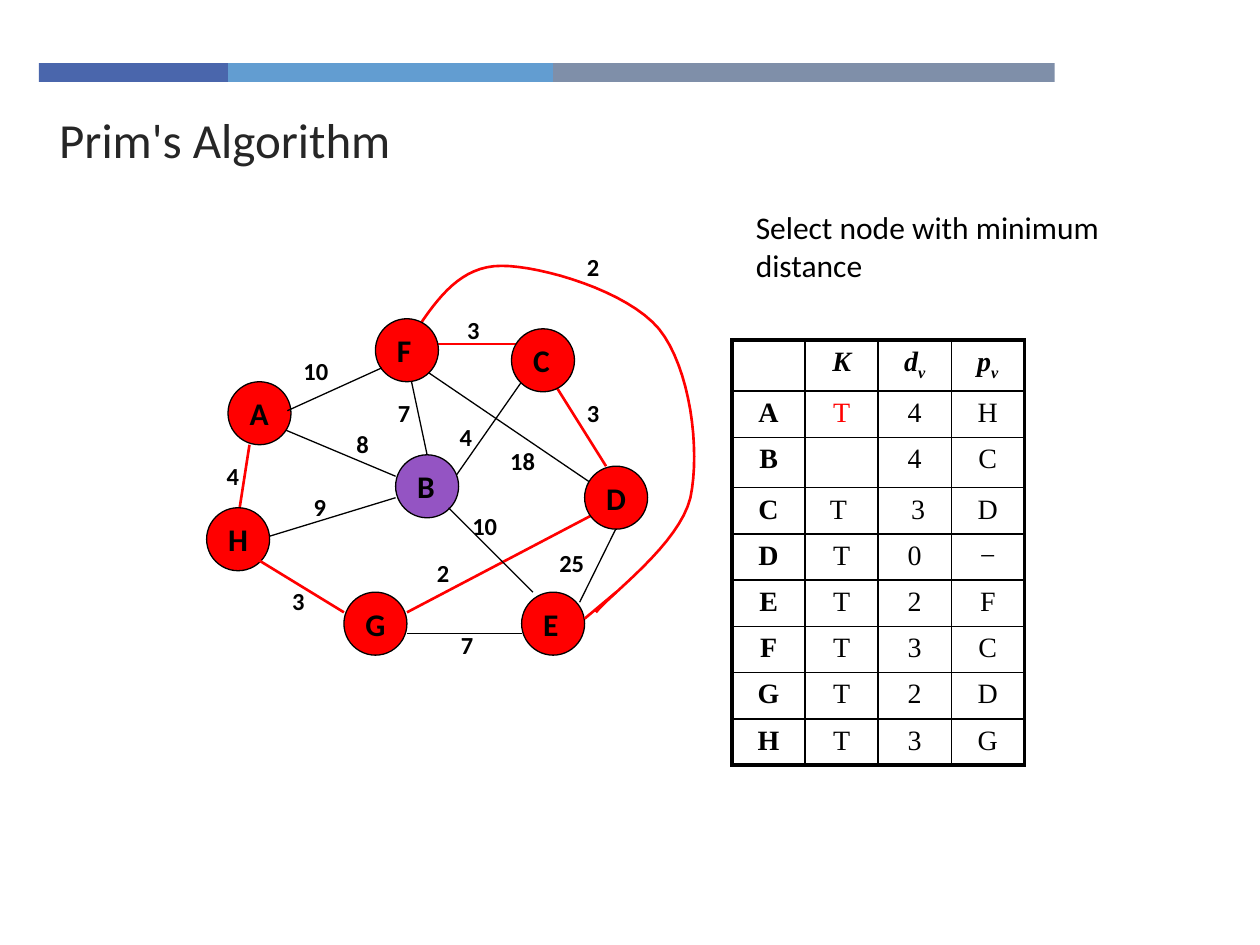
"""Build the Prim's Algorithm slide with its weighted graph and state table."""
from dataclasses import dataclass

from lxml import etree
from pptx import Presentation
from pptx.dml.color import RGBColor
from pptx.enum import shapes, text
from pptx.oxml import ns
from pptx.util import Inches, Pt

BLACK = RGBColor(0x00, 0x00, 0x00)
RED = RGBColor(0xFF, 0x00, 0x00)
PURPLE = RGBColor(0x94, 0x54, 0xC3)
TITLE_GREY = RGBColor(0x26, 0x26, 0x26)
BAR_BLUE = RGBColor(0x4A, 0x66, 0xAC)
BAR_SKY = RGBColor(0x62, 0x9D, 0xD1)
BAR_SLATE = RGBColor(0x7F, 0x8F, 0xA9)
SANS = "Calibri"
SERIF = "Times New Roman"
NODE_SIZE = 0.5
COLUMN_WIDTH = 0.58
CURVE_STEPS = 16


@dataclass
class Bar:
    left: float
    width: float
    color: RGBColor


@dataclass
class Node:
    name: str
    left: float
    top: float
    color: RGBColor = RED


@dataclass
class Edge:
    start: tuple[float, float]
    end: tuple[float, float]
    in_tree: bool = False


@dataclass
class Weight:
    value: str
    left: float
    top: float


BARS = [Bar(0.31, 1.5, BAR_BLUE), Bar(1.81, 2.58, BAR_SKY), Bar(4.39, 3.98, BAR_SLATE)]
NODES = [
    Node("A", 1.81, 3.03), Node("H", 1.64, 4.03), Node("B", 3.14, 3.61, PURPLE),
    Node("F", 2.98, 2.53), Node("E", 4.14, 4.7), Node("D", 4.64, 3.7),
    Node("C", 4.06, 2.61), Node("G", 2.73, 4.7),
]
EDGES_BEHIND = [
    Edge((5.01, 3.95), (4.6, 4.78)),
    Edge((3.23, 2.86), (3.39, 3.61)),
    Edge((3.56, 3.86), (4.14, 3.03)),
    Edge((4.73, 3.86), (3.39, 2.95)),
    Edge((2.06, 4.28), (3.14, 3.95)),
    Edge((3.23, 4.86), (4.81, 4.03), True),
    Edge((1.89, 4.11), (1.98, 3.53), True),
    Edge((2.14, 3.36), (3.14, 3.78)),
    Edge((3.44, 2.73), (4.23, 2.73), True),
    Edge((4.39, 3.03), (4.81, 3.7), True),
]
EDGES_IN_FRONT = [
    Edge((3.56, 4.03), (4.23, 4.7)),
    Edge((4.14, 5.03), (3.23, 5.03)),
    Edge((2.73, 4.86), (2.06, 4.45), True),
    Edge((2.28, 3.26), (3.03, 2.92)),
    Edge((4.89, 4.7), (4.64, 4.91), True),
]
WEIGHTS = [
    Weight("4", 1.7, 3.61), Weight("25", 4.34, 4.3), Weight("7", 3.56, 4.95),
    Weight("2", 3.37, 4.38), Weight("10", 3.65, 4.01), Weight("18", 3.95, 3.49),
    Weight("3", 4.56, 3.11), Weight("4", 3.55, 3.3), Weight("3", 3.61, 2.45),
    Weight("7", 3.06, 3.11), Weight("8", 2.73, 3.36), Weight("9", 2.39, 3.86),
    Weight("3", 2.22, 4.6), Weight("10", 2.31, 2.78), Weight("2", 4.56, 1.95),
]
F_TO_E_CURVE = [
    (3.31, 2.61), (3.48, 2.36), (3.66, 2.11), (3.98, 2.11), (4.3, 2.11),
    (4.98, 2.31), (5.23, 2.61), (5.48, 2.92), (5.56, 3.57), (5.48, 3.95),
    (5.39, 4.32), (4.85, 4.71), (4.73, 4.86),
]
HEADER = ["", "K", "dv", "pv"]
STATES = [
    ["A", "T", "4", "H"], ["B", "", "4", "C"], ["C", "T ", " 3", "D"],
    ["D", "T", "0", "−"], ["E", "T", "2", "F"], ["F", "T", "3", "C"],
    ["G", "T", "2", "D"], ["H", "T", "3", "G"],
]


def style_font(font, size: float, name: str = SANS, color: RGBColor = BLACK,
               bold: bool = False, italic: bool = False) -> None:
    font.size, font.name, font.bold, font.italic = Pt(size), name, bold, italic
    font.color.rgb = color


def draw_bar(slide, bar: Bar) -> None:
    strip = slide.shapes.add_shape(shapes.MSO_SHAPE.RECTANGLE, Inches(bar.left), Inches(0.5),
                                   Inches(bar.width), Inches(0.15))
    strip.shadow.inherit = False
    strip.fill.solid()
    strip.fill.fore_color.rgb = bar.color
    strip.line.fill.background()


def draw_node(slide, node: Node) -> None:
    circle = slide.shapes.add_shape(shapes.MSO_SHAPE.OVAL, Inches(node.left), Inches(node.top),
                                    Inches(NODE_SIZE), Inches(NODE_SIZE))
    circle.shadow.inherit = False
    circle.fill.solid()
    circle.fill.fore_color.rgb = node.color
    circle.line.color.rgb, circle.line.width = BLACK, Pt(0.75)
    frame = circle.text_frame
    frame.text, frame.word_wrap = node.name, False
    frame.vertical_anchor = text.MSO_ANCHOR.MIDDLE
    style_font(frame.paragraphs[0].runs[0].font, 18, bold=True)


def draw_edge(slide, edge: Edge) -> None:
    ends = [Inches(value) for value in (*edge.start, *edge.end)]
    link = slide.shapes.add_connector(shapes.MSO_CONNECTOR.STRAIGHT, *ends)
    link.line.color.rgb = RED if edge.in_tree else BLACK
    link.line.width = Pt(1.5 if edge.in_tree else 0.75)
    etree.SubElement(link._element.spPr, ns.qn("a:effectLst"))


def draw_text(slide, words: str, left: float, top: float, width: float, height: float,
              size: float, bold: bool = False) -> None:
    box = slide.shapes.add_textbox(Inches(left), Inches(top), Inches(width), Inches(height))
    box.text_frame.text, box.text_frame.word_wrap = words, True
    style_font(box.text_frame.paragraphs[0].runs[0].font, size, bold=bold)


def draw_curve(slide, controls: list[tuple[float, float]]) -> None:
    points = []
    for first in range(0, len(controls) - 1, 3):
        segment = controls[first:first + 4]
        for step in range(1, CURVE_STEPS + 1):
            t = step / CURVE_STEPS
            blend = ((1 - t) ** 3, 3 * t * (1 - t) ** 2, 3 * t * t * (1 - t), t ** 3)
            points.append(tuple(Inches(sum(b * p[axis] for b, p in zip(blend, segment)))
                                for axis in (0, 1)))
    builder = slide.shapes.build_freeform(Inches(controls[0][0]), Inches(controls[0][1]))
    builder.add_line_segments(points, close=False)
    arc = builder.convert_to_shape()
    arc.shadow.inherit = False
    arc.fill.background()
    arc.line.color.rgb, arc.line.width = RED, Pt(1.5)


def set_borders(cell, outer_sides: dict[str, bool]) -> None:
    properties = cell._tc.get_or_add_tcPr()
    for position, (side, outer) in enumerate(outer_sides.items()):
        border = etree.Element(ns.qn(f"a:ln{side}"), w=str(Pt(2.25 if outer else 1)))
        fill = etree.SubElement(border, ns.qn("a:solidFill"))
        etree.SubElement(fill, ns.qn("a:srgbClr"), val=str(BLACK))
        properties.insert(position, border)


def draw_state_table(slide) -> None:
    rows = [HEADER, *STATES]
    table = slide.shapes.add_table(len(rows), len(HEADER), Inches(5.81), Inches(2.7),
                                   Inches(COLUMN_WIDTH * len(HEADER)), Inches(3.32)).table
    table.first_row = table.horz_banding = False
    for column in table.columns:
        column.width = Inches(COLUMN_WIDTH)
    for r, values in enumerate(rows):
        table.rows[r].height = Inches({0: 0.4, 2: 0.38}.get(r, 0.365))
        for c, value in enumerate(values):
            cell = table.cell(r, c)
            cell.fill.background()
            set_borders(cell, {"L": c == 0, "R": c == len(HEADER) - 1,
                               "T": r == 0, "B": r == len(rows) - 1})
            paragraph = cell.text_frame.paragraphs[0]
            paragraph.alignment = text.PP_ALIGN.CENTER
            for part in (value if r == 0 and value else [value]):
                run = paragraph.add_run()
                run.text = part
                color = RED if (r, c) == (1, 1) else BLACK
                style_font(run.font, 16, SERIF, color, bold=r == 0 or c == 0, italic=r == 0)
                if part == "v":
                    run.font._element.set("baseline", "-25000")


def draw_title(slide, words: str) -> None:
    title = slide.shapes.title
    title.left, title.top, title.width, title.height = (
        Inches(value) for value in (0.37, 0.8, 7.16, 0.54))
    frame = title.text_frame
    frame.text, frame.margin_bottom = words, 0
    frame.vertical_anchor = text.MSO_ANCHOR.BOTTOM
    frame.paragraphs[0].alignment = text.PP_ALIGN.LEFT
    style_font(frame.paragraphs[0].runs[0].font, 28, color=TITLE_GREY)


def main() -> None:
    deck = Presentation()
    deck.slide_width, deck.slide_height = Inches(10), Inches(7.5)
    slide = deck.slides.add_slide(deck.slide_layouts[5])
    draw_title(slide, "Prim's Algorithm")
    for bar in BARS:
        draw_bar(slide, bar)
    draw_curve(slide, F_TO_E_CURVE)
    for edge in EDGES_BEHIND:
        draw_edge(slide, edge)
    for node in NODES:
        draw_node(slide, node)
    for edge in EDGES_IN_FRONT:
        draw_edge(slide, edge)
    for weight in WEIGHTS:
        width = 0.33 if len(weight.value) == 1 else 0.52
        draw_text(slide, weight.value, weight.left, weight.top, width, 0.33, 14, bold=True)
    draw_text(slide, "Select node with minimum distance", 5.9, 1.6, 3.17, 0.77, 18)
    draw_state_table(slide)
    deck.save("out.pptx")


if __name__ == "__main__":
    main()
